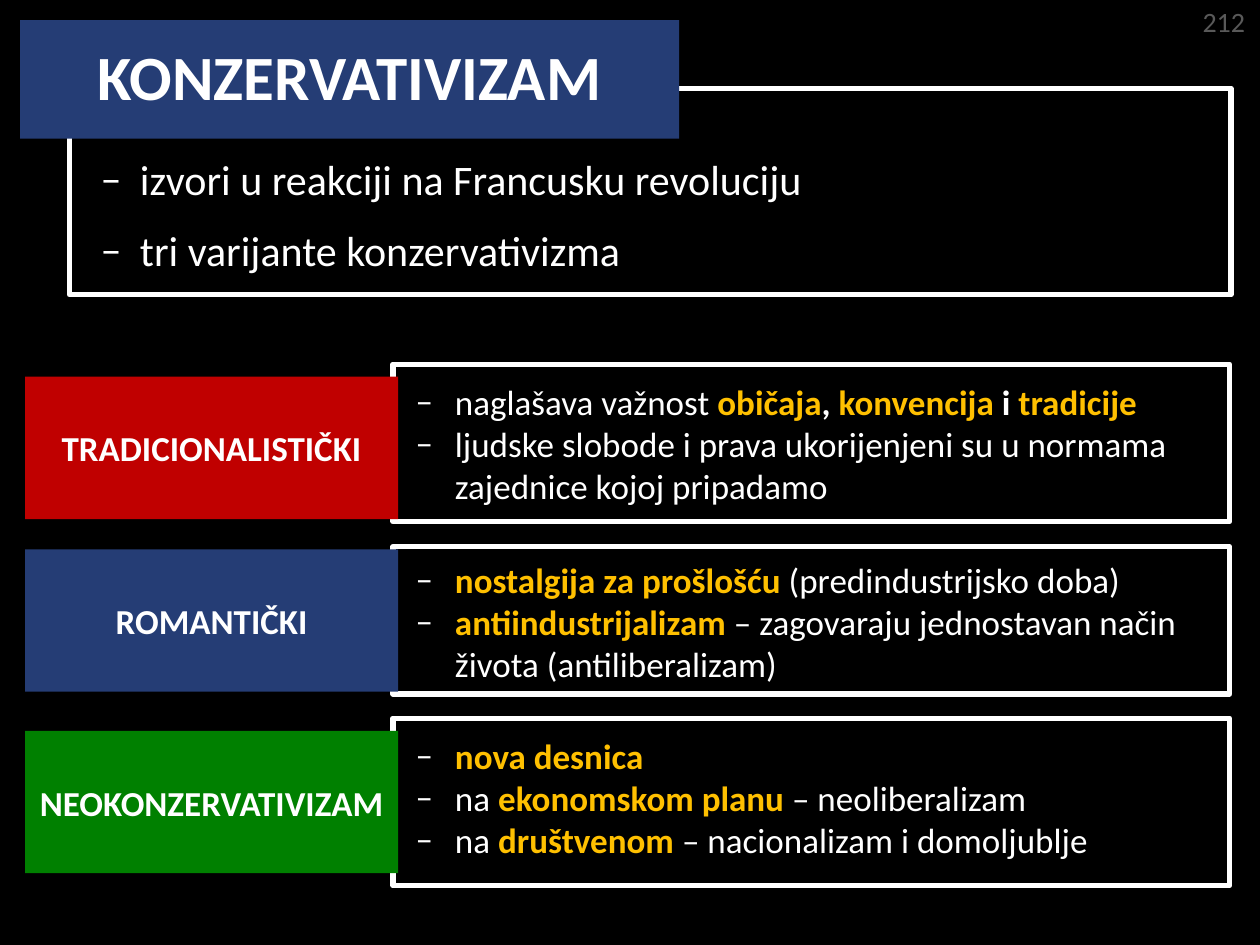
from lxml import etree
from pptx import Presentation
from pptx.dml.color import RGBColor
from pptx.enum.shapes import MSO_SHAPE
from pptx.enum.text import MSO_ANCHOR, PP_ALIGN
from pptx.oxml.ns import qn
from pptx.util import Pt

RECT = MSO_SHAPE.RECTANGLE
MIDDLE, TOP = MSO_ANCHOR.MIDDLE, MSO_ANCHOR.TOP
LEFT, CENTER, RIGHT = PP_ALIGN.LEFT, PP_ALIGN.CENTER, PP_ALIGN.RIGHT
WHITE, GOLD, BLUE, RED, GREEN, GREY = (
    "FFFFFF", "FFC000", "253D75", "C00000", "008000", "595959")
FONT = "Calibri"

# Run styles: colour, bold
PLAIN, STRONG, KEY = (WHITE, False), (WHITE, True), (GOLD, True)

TITLE = "KONZERVATIVIZAM"
PAGE = "212"
INTRO = [
    [("izvori u reakciji na Francusku revoluciju", PLAIN)],
    [("tri varijante konzervativizma", PLAIN)],
]
# Label, colour, (frame top, frame height), label top, text top, text width, points
VARIANTS = [
    ("TRADICIONALISTIČKI", RED, (208.1, 90), 215.3, 213.8, 472.3, [
        [("naglašava važnost ", PLAIN), ("običaja", KEY), (", ", STRONG),
         ("konvencija", KEY), (" i ", STRONG), ("tradicije", KEY)],
        [("ljudske slobode i prava ukorijenjeni su u normama zajednice "
          "kojoj pripadamo", PLAIN)],
    ]),
    ("ROMANTIČKI", BLUE, (312.5, 84.2), 313.9, 315.4, 478, [
        [("nostalgija za prošlošću ", KEY), ("(predindustrijsko doba)", PLAIN)],
        [("antiindustrijalizam", KEY),
         (" – zagovaraju jednostavan način života (antiliberalizam)", PLAIN)],
    ]),
    ("NEOKONZERVATIVIZAM", GREEN, (410.4, 95.8), 417.6, 416.2, 466.6, [
        [("nova desnica", KEY)],
        [("na ", PLAIN), ("ekonomskom planu", KEY), (" – neoliberalizam", PLAIN)],
        [("na ", PLAIN), ("društvenom ", KEY),
         ("– nacionalizam i domoljublje", PLAIN)],
    ]),
]


def rgb(color):
    return RGBColor.from_string(color)


def add_dash(p):
    """Give the paragraph a hanging white dash."""
    pPr = p._p.get_or_add_pPr()
    pPr.set("marL", str(Pt(22.5)))
    pPr.set("indent", str(-Pt(22.5)))
    clr = etree.SubElement(pPr, qn("a:buClr"))
    etree.SubElement(clr, qn("a:srgbClr"), val=WHITE)
    etree.SubElement(pPr, qn("a:buFont"), typeface=FONT)
    etree.SubElement(pPr, qn("a:buChar"), char="–")


def write(sp, paragraphs, size, align=LEFT, anchor=TOP, dash=False, gap=0,
          spacing=None, wrap=True):
    tf = sp.text_frame
    tf.word_wrap = wrap
    tf.vertical_anchor = anchor
    for i, runs in enumerate(paragraphs):
        p = tf.add_paragraph() if i else tf.paragraphs[0]
        p.alignment = align
        if spacing:
            p.line_spacing = spacing
        if i and gap:
            p.space_before = Pt(gap)
        if dash:
            add_dash(p)
        for text, (color, bold) in runs:
            r = p.add_run()
            r.text = text
            r.font.name = FONT
            r.font.size = Pt(size)
            r.font.bold = bold
            r.font.color.rgb = rgb(color)


def add_rect(s, box, fill=None):
    """Add a filled block, or a white frame when there is no fill."""
    sp = s.shapes.add_shape(RECT, *map(Pt, box))
    sp.shadow.inherit = False
    if fill:
        sp.fill.solid()
        sp.fill.fore_color.rgb = rgb(fill)
        sp.line.fill.background()
    else:
        sp.fill.background()
        sp.line.color.rgb = rgb(WHITE)
        sp.line.width = Pt(3)
    return sp


def add_text(s, box, paragraphs, size, **fmt):
    write(s.shapes.add_textbox(*map(Pt, box)), paragraphs, size, **fmt)


def add_label(s, box, fill, text, size, **fmt):
    write(add_rect(s, box, fill), [[(text, STRONG)]], size,
          align=CENTER, anchor=MIDDLE, **fmt)


def main():
    prs = Presentation()
    prs.slide_width, prs.slide_height = Pt(720), Pt(540)
    s = prs.slides.add_slide(prs.slide_layouts[6])
    s.background.fill.solid()
    s.background.fill.fore_color.rgb = rgb("000000")

    add_rect(s, (39.6, 50.4, 663.8, 118.1))
    add_text(s, (50.4, 84.2, 646.6, 77.8), INTRO, 24, dash=True, gap=12)
    add_label(s, (11.5, 11.5, 376.6, 67.7), BLUE, TITLE, 36, spacing=0.93)

    for name, color, (top, height), label_top, text_top, width, points in VARIANTS:
        add_rect(s, (224.6, top, 478.1, height))
        add_label(s, (14.4, label_top, 213.1, 81.4), color, name, 20)
        add_text(s, (230.4, text_top, width, 79.9), points, 20, dash=True)

    add_text(s, (679.7, -0.7, 38.9, 26.6), [[(PAGE, (GREY, False))]], 16,
             align=RIGHT, wrap=False)
    prs.save("out.pptx")


if __name__ == "__main__":
    main()
